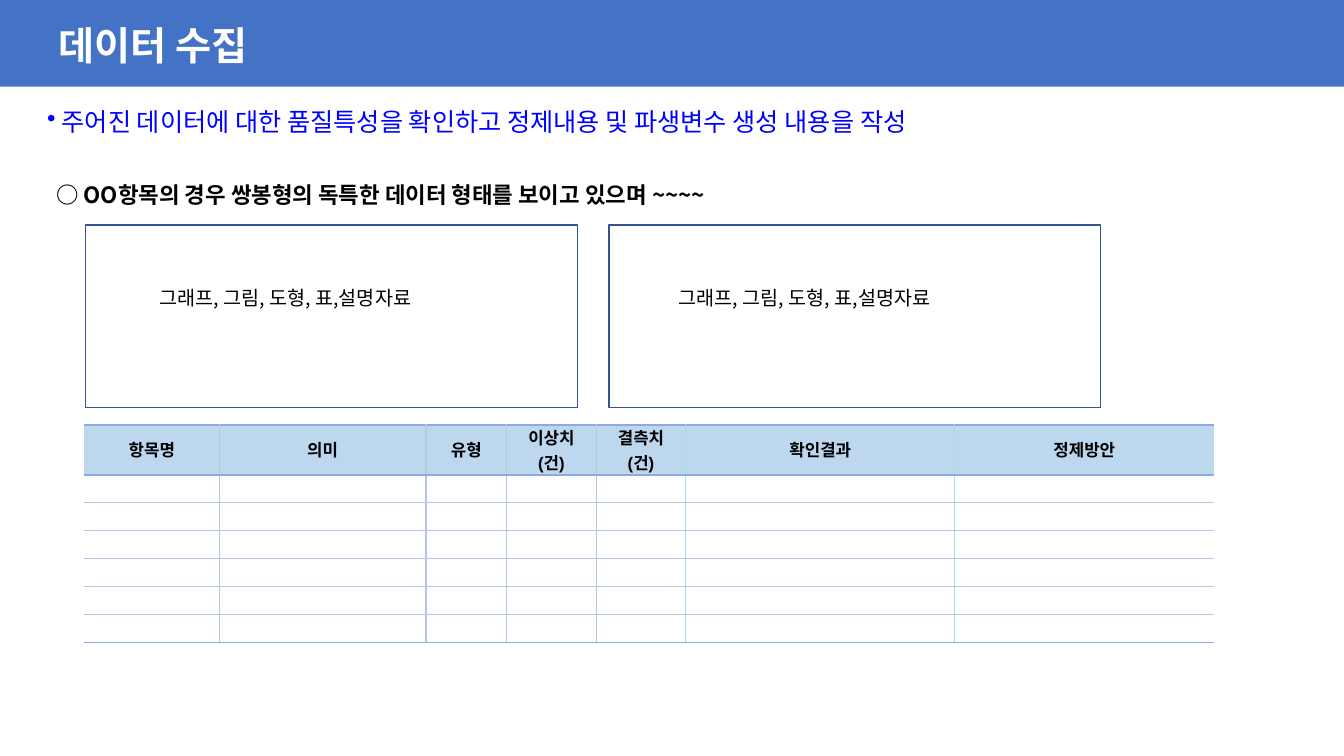
"""Build the data collection slide with its placeholder boxes and quality table."""
from typing import NamedTuple

from lxml.etree import SubElement
from pptx import Presentation
from pptx.dml.color import RGBColor as RGB
from pptx.enum.shapes import MSO_SHAPE as SHAPE
from pptx.enum.text import MSO_ANCHOR as ANCHOR, PP_ALIGN as ALIGN
from pptx.oxml import parse_xml
from pptx.oxml.ns import nsdecls, qn
from pptx.util import Pt

COLORS = {
    "band": "4472C4", "white": "FFFFFF", "black": "000000", "guide": "0000FF",
    "frame": "325491", "header": "BDD7EE", "rule": "8FAADC", "grid": "B4C7E7",
    "pale": "A4DAF4",
}
KOREAN = "Noto Sans CJK KR"
GRAPHIC_HINT = "그래프, 그림, 도형, 표,설명자료"
HEADER_HEIGHT, ROW_HEIGHT, BODY_ROWS = 35.7, 20, 6


class Box(NamedTuple):
    x: float
    y: float
    w: float
    h: float


class Column(NamedTuple):
    title: str
    width: float


class Border(NamedTuple):
    color: str
    width: float


FRAMES = [Box(61.2, 160.6, 351.4, 130.3), Box(434.9, 160.6, 351.4, 130.3)]
HINTS = [Box(106.6, 200.9, 289.4, 58.3), Box(477.4, 200.9, 289.4, 58.3)]
TABLE = Box(60.2, 303.3, 806.9, HEADER_HEIGHT + BODY_ROWS * ROW_HEIGHT)
COLUMNS = [
    Column("항목명", 96.5), Column("의미", 147.6), Column("유형", 57.6),
    Column("이상치(건)", 64), Column("결측치\n(건)", 64),
    Column("확인결과", 192.2), Column("정제방안", 185),
]


def points(box: Box) -> tuple:
    return tuple(Pt(v) for v in box)


def write(tf, text: str, *, size: float, color: str = "black", bold: bool = False,
          font: str = KOREAN, align=ALIGN.LEFT, anchor=ANCHOR.TOP,
          bullet: str = "") -> None:
    tf.word_wrap = True
    tf.vertical_anchor = anchor
    for i, line in enumerate(text.split("\n")):
        p = tf.add_paragraph() if i else tf.paragraphs[0]
        p.alignment = align
        if bullet:
            SubElement(p._p.get_or_add_pPr(), qn("a:buChar"), char=bullet)
        r = p.add_run()
        r.text = line
        r.font.size, r.font.bold, r.font.name = Pt(size), bold, font
        r.font.color.rgb = RGB.from_string(COLORS[color])
        SubElement(r._r.get_or_add_rPr(), qn("a:ea"), typeface=KOREAN)


def add_rect(s, box: Box, fill: str = "", line: str = "") -> None:
    sp = s.shapes.add_shape(SHAPE.RECTANGLE, *points(box))
    sp.shadow.inherit = False
    if fill:
        sp.fill.solid()
        sp.fill.fore_color.rgb = RGB.from_string(COLORS[fill])
    else:
        sp.fill.background()
    if line:
        sp.line.color.rgb = RGB.from_string(COLORS[line])
        sp.line.width = Pt(1)
    else:
        sp.line.fill.background()


def add_text(s, box: Box, text: str, *, inset: bool = True, **fmt) -> None:
    tf = s.shapes.add_textbox(*points(box)).text_frame
    if not inset:
        tf.margin_left = tf.margin_right = tf.margin_top = tf.margin_bottom = 0
    write(tf, text, **fmt)


def set_borders(cell, borders: dict) -> None:
    tc_pr = cell._tc.get_or_add_tcPr()
    for i, side in enumerate("LRTB"):
        border = borders.get(side)
        width = Pt(border.width) if border else 0
        paint = (f'<a:solidFill><a:srgbClr val="{COLORS[border.color]}"/></a:solidFill>'
                 if border else "<a:noFill/>")
        tc_pr.insert(i, parse_xml(
            f'<a:ln{side} {nsdecls("a")} w="{width}">{paint}</a:ln{side}>'))


def column_edge(col: int) -> Border | None:
    """Return the border on the left of a column, or None at the table's sides."""
    if col in (0, len(COLUMNS)):
        return None
    return Border("pale" if col > 4 else "grid", 1)


def row_edge(row: int) -> Border:
    """Return the border above a row; the header and the table's end are ruled."""
    return Border("rule", 1.5) if row in (0, 1, BODY_ROWS + 1) else Border("grid", 1)


def add_quality_table(s) -> None:
    table = s.shapes.add_table(BODY_ROWS + 1, len(COLUMNS), *points(TABLE)).table
    table.first_row = table.horz_banding = False
    for i, row in enumerate(table.rows):
        row.height = Pt(ROW_HEIGHT if i else HEADER_HEIGHT)
    for j, column in enumerate(COLUMNS):
        table.columns[j].width = Pt(column.width)
        for i in range(BODY_ROWS + 1):
            cell = table.cell(i, j)
            cell.margin_top = cell.margin_bottom = 0
            if i:
                cell.fill.background()
                SubElement(cell.text_frame.paragraphs[0]._p, qn("a:endParaRPr"), sz="800")
            else:
                cell.fill.solid()
                cell.fill.fore_color.rgb = RGB.from_string(COLORS["header"])
                write(cell.text_frame, column.title, size=12, bold=True, font="Arial",
                      align=ALIGN.CENTER)
                cell.vertical_anchor = ANCHOR.MIDDLE
            set_borders(cell, {"L": column_edge(j), "R": column_edge(j + 1),
                               "T": row_edge(i), "B": row_edge(i + 1)})


def main() -> None:
    prs = Presentation()
    prs.slide_width, prs.slide_height = Pt(960), Pt(540)
    s = prs.slides.add_slide(prs.slide_layouts[5])
    add_rect(s, Box(0, 0, 960, 61.9), fill="band")
    title = s.shapes.title
    title.left, title.top, title.width, title.height = points(Box(34.6, 11.5, 457.2, 41))
    write(title.text_frame, "데이터 수집", size=28, color="white", bold=True,
          anchor=ANCHOR.MIDDLE)
    title.element.getparent().append(title.element)
    add_text(s, Box(26.6, 72.7, 708.5, 28.8),
             " 주어진 데이터에 대한 품질특성을 확인하고 정제내용 및 파생변수 생성 내용을 작성",
             size=18, color="guide", bullet="•")
    add_text(s, Box(40.3, 129.6, 734.4, 56.2),
             "○ OO항목의 경우 쌍봉형의 독특한 데이터 형태를 보이고 있으며 ~~~~",
             size=16, bold=True, inset=False)
    for frame in FRAMES:
        add_rect(s, frame, line="frame")
    for hint in HINTS:
        add_text(s, hint, GRAPHIC_HINT, size=14)
    add_quality_table(s)
    prs.save("out.pptx")


if __name__ == "__main__":
    main()
